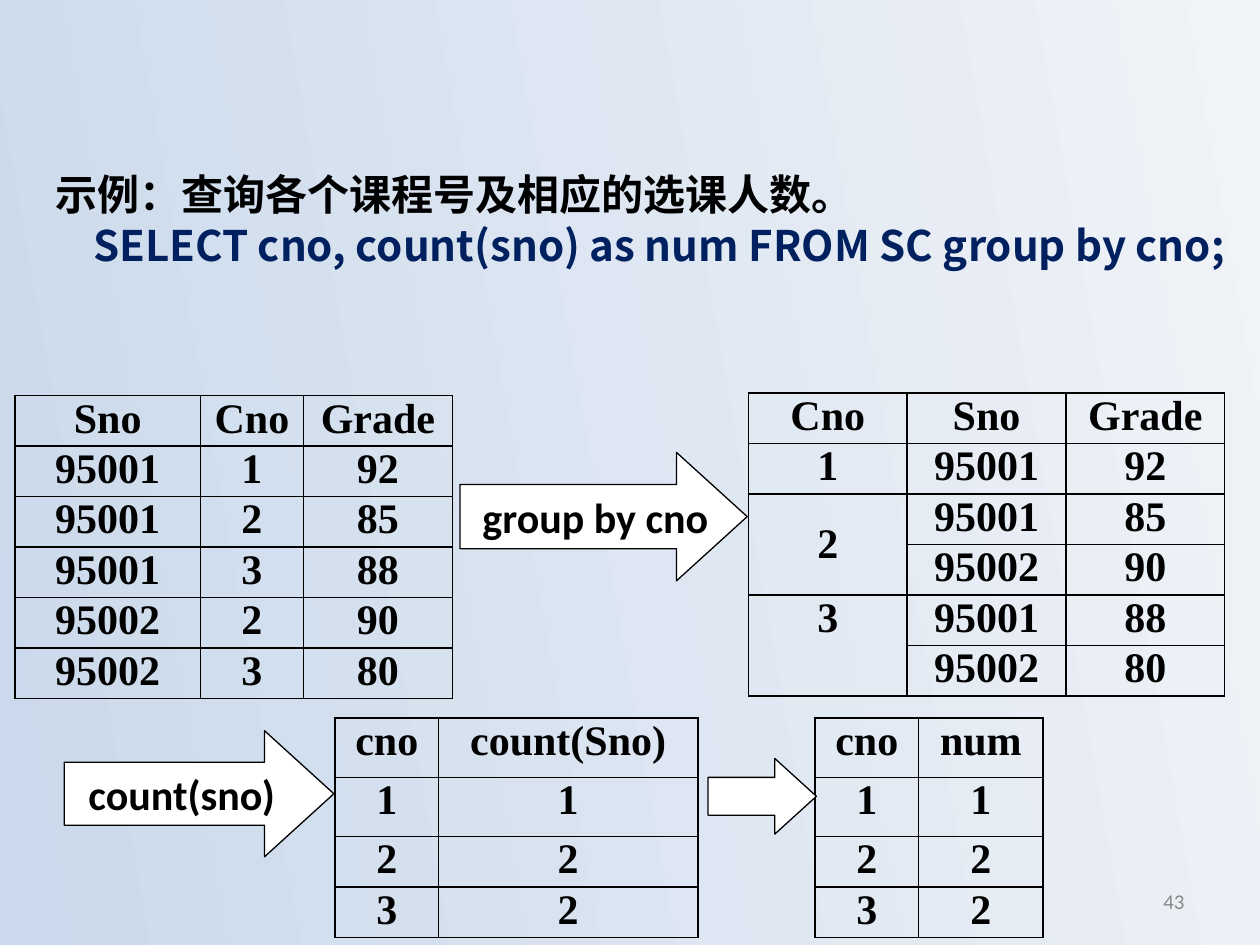
import pptx
import pptx.util
import pptx.dml.color
import pptx.enum.shapes
import pptx.enum.text
import pptx.oxml
import pptx.oxml.ns

Inches = pptx.util.Inches
Pt = pptx.util.Pt
ALIGN = pptx.enum.text.PP_ALIGN
ANCHOR = pptx.enum.text.MSO_ANCHOR
BLACK = "000000"
ROW = 0.4
COUNT_ROWS = [0.47, 0.47, ROW, ROW]


def rgb(value):
    """Return the colour for a hex string."""
    return pptx.dml.color.RGBColor.from_string(value)


def add_run(p, text, font, size=24, color=BLACK, bold=True):
    """Add one formatted run to a paragraph."""
    r = p.add_run()
    r.text = text
    r.font.name = font
    r.font.size = Pt(size)
    r.font.bold = bold
    r.font.color.rgb = rgb(color)
    ea = pptx.oxml.parse_xml(f'<a:ea {pptx.oxml.ns.nsdecls("a")} typeface="{font}"/>')
    r.font._element.append(ea)


def set_background(s):
    """Fill the slide background with a pale blue gradient."""
    fill = s.background.fill
    fill.gradient()
    fill.gradient_angle = 190
    for stop, color in zip(fill.gradient_stops, ("F0F3F8", "CAD9EB")):
        stop.color.rgb = rgb(color)


def add_query(s, left, top, width, height):
    """Add the question and its SQL query."""
    box = s.shapes.add_textbox(Inches(left), Inches(top), Inches(width), Inches(height))
    tf = box.text_frame
    tf.word_wrap = True
    lines = [
        ("示例：查询各个课程号及相应的选课人数。", BLACK, 0),
        ("SELECT cno, count(sno) as num FROM SC group by cno;", "002060", 0.3),
    ]
    for i, (text, color, indent) in enumerate(lines):
        p = tf.add_paragraph() if i else tf.paragraphs[0]
        p.alignment = ALIGN.JUSTIFY
        p._p.get_or_add_pPr().set("marL", str(Inches(indent)))
        add_run(p, text, "Noto Sans CJK SC", color=color)


def format_cell(cell, text, anchor):
    """Write a table cell with black borders and no fill."""
    tcPr = cell._tc.get_or_add_tcPr()
    for side in "LRTB":
        tcPr.append(pptx.oxml.parse_xml(
            f'<a:ln{side} {pptx.oxml.ns.nsdecls("a")} w="12700"><a:solidFill>'
            f'<a:srgbClr val="{BLACK}"/></a:solidFill></a:ln{side}>'))
    cell.fill.background()
    cell.margin_left = cell.margin_right = Inches(0.06)
    cell.margin_top = cell.margin_bottom = 0
    cell.vertical_anchor = anchor
    if text:
        p = cell.text_frame.paragraphs[0]
        p.alignment = ALIGN.CENTER
        add_run(p, text, "Times New Roman")


def add_grid(s, left, top, widths, heights, rows, merges=(), middle=()):
    """Add a bordered table, merging each listed row with the next in column 0."""
    frame = s.shapes.add_table(len(rows), len(widths), Inches(left), Inches(top),
                               Inches(sum(widths)), Inches(sum(heights)))
    table = frame.table
    table.first_row = table.horz_banding = False
    for column, width in zip(table.columns, widths):
        column.width = Inches(width)
    for row, height in zip(table.rows, heights):
        row.height = Inches(height)
    for i, row in enumerate(rows):
        for j, text in enumerate(row):
            anchor = ANCHOR.MIDDLE if (i, j) in middle else ANCHOR.TOP
            format_cell(table.cell(i, j), text, anchor)
    for i in merges:
        table.cell(i, 0).merge(table.cell(i + 1, 0))


def add_arrow(s, left, top, width, height, text="", inset=0.1):
    """Add a white block arrow with an optional label."""
    sp = s.shapes.add_shape(pptx.enum.shapes.MSO_SHAPE.RIGHT_ARROW, Inches(left),
                            Inches(top), Inches(width), Inches(height))
    sp.adjustments[1] = 0.55
    sp.shadow.inherit = False
    sp.fill.solid()
    sp.fill.fore_color.rgb = rgb("FFFFFF")
    sp.line.color.rgb = rgb(BLACK)
    sp.line.width = Pt(0.75)
    if text:
        tf = sp.text_frame
        tf.word_wrap = False
        tf.margin_left = Inches(inset)
        tf.vertical_anchor = ANCHOR.MIDDLE
        p = tf.paragraphs[0]
        p.alignment = ALIGN.CENTER
        add_run(p, text, "Calibri")


def add_page_number(s, left, top, width, height):
    """Add the page number at the lower right."""
    box = s.shapes.add_textbox(Inches(left), Inches(top), Inches(width), Inches(height))
    tf = box.text_frame
    tf.word_wrap = True
    tf.vertical_anchor = ANCHOR.MIDDLE
    p = tf.paragraphs[0]
    p.alignment = ALIGN.RIGHT
    add_run(p, "43", "Calibri", 12, "898989", False)


def main():
    """Build the slide and save it."""
    prs = pptx.Presentation()
    prs.slide_width, prs.slide_height = Inches(10), Inches(7.5)
    s = prs.slides.add_slide(prs.slide_layouts[6])
    set_background(s)
    add_query(s, 0.34, 1.29, 9.61, 1.48)
    add_grid(s, 0.12, 3.14, [1.47, 0.82, 1.18], [ROW] * 6, [
        ("Sno", "Cno", "Grade"),
        ("95001", "1", "92"),
        ("95001", "2", "85"),
        ("95001", "3", "88"),
        ("95002", "2", "90"),
        ("95002", "3", "80"),
    ])
    add_arrow(s, 3.65, 3.59, 2.28, 1.02, "group by cno", 0.25)
    add_grid(s, 5.94, 3.12, [1.26] * 3, [ROW] * 6, [
        ("Cno", "Sno", "Grade"),
        ("1", "95001", "92"),
        ("2", "95001", "85"),
        ("", "95002", "90"),
        ("3", "95001", "88"),
        ("", "95002", "80"),
    ], merges=(2, 4), middle={(2, 0)})
    add_arrow(s, 0.51, 5.8, 2.14, 1, "count(sno)")
    counts = [("1", "1"), ("2", "2"), ("3", "2")]
    add_grid(s, 2.66, 5.7, [0.82, 2.06], COUNT_ROWS, [("cno", "count(Sno)")] + counts)
    add_grid(s, 6.47, 5.7, [0.82, 0.99], COUNT_ROWS, [("cno", "num")] + counts)
    add_arrow(s, 5.62, 6.02, 0.86, 0.6)
    add_page_number(s, 7.17, 6.95, 2.33, 0.4)
    prs.save("out.pptx")


if __name__ == "__main__":
    main()
